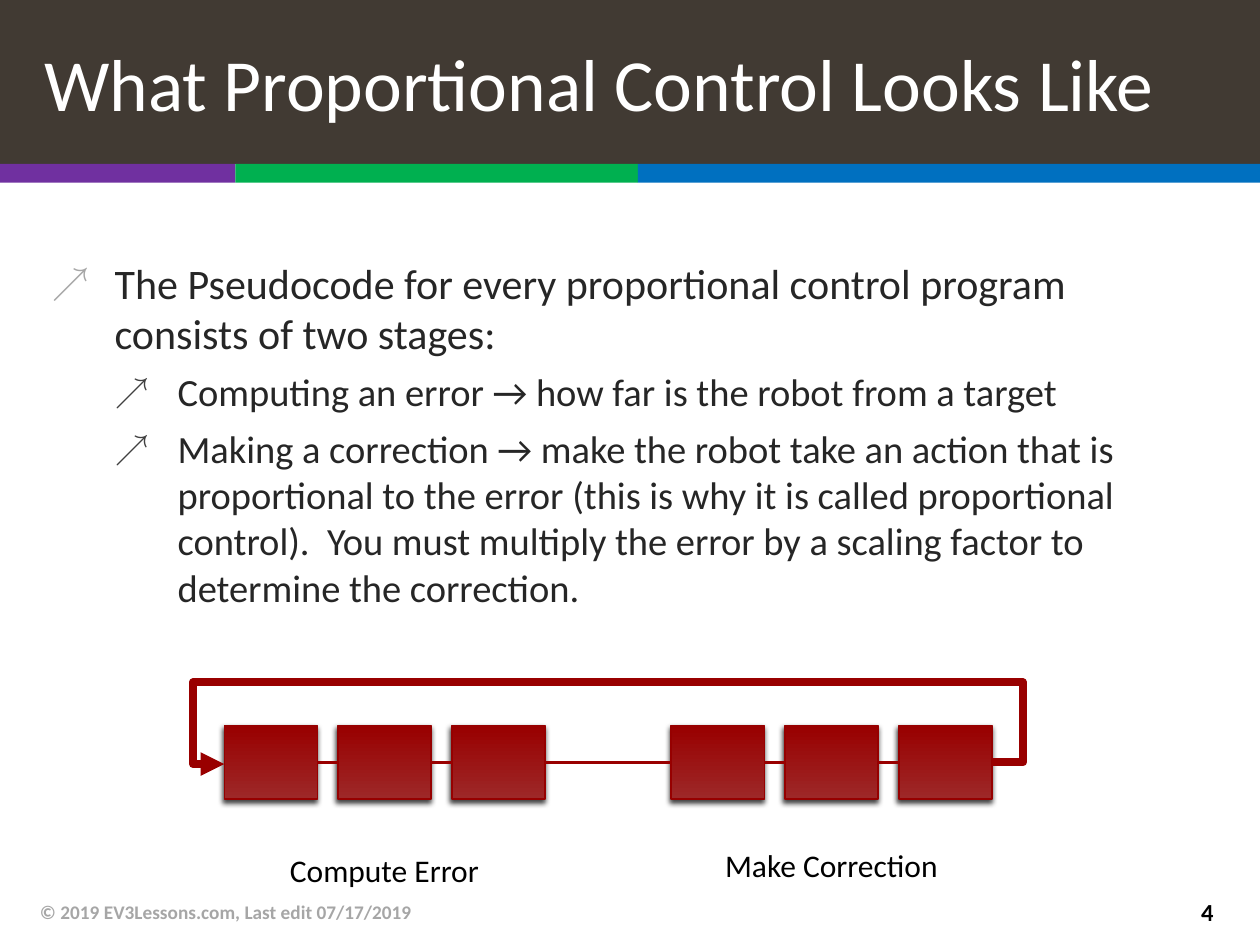
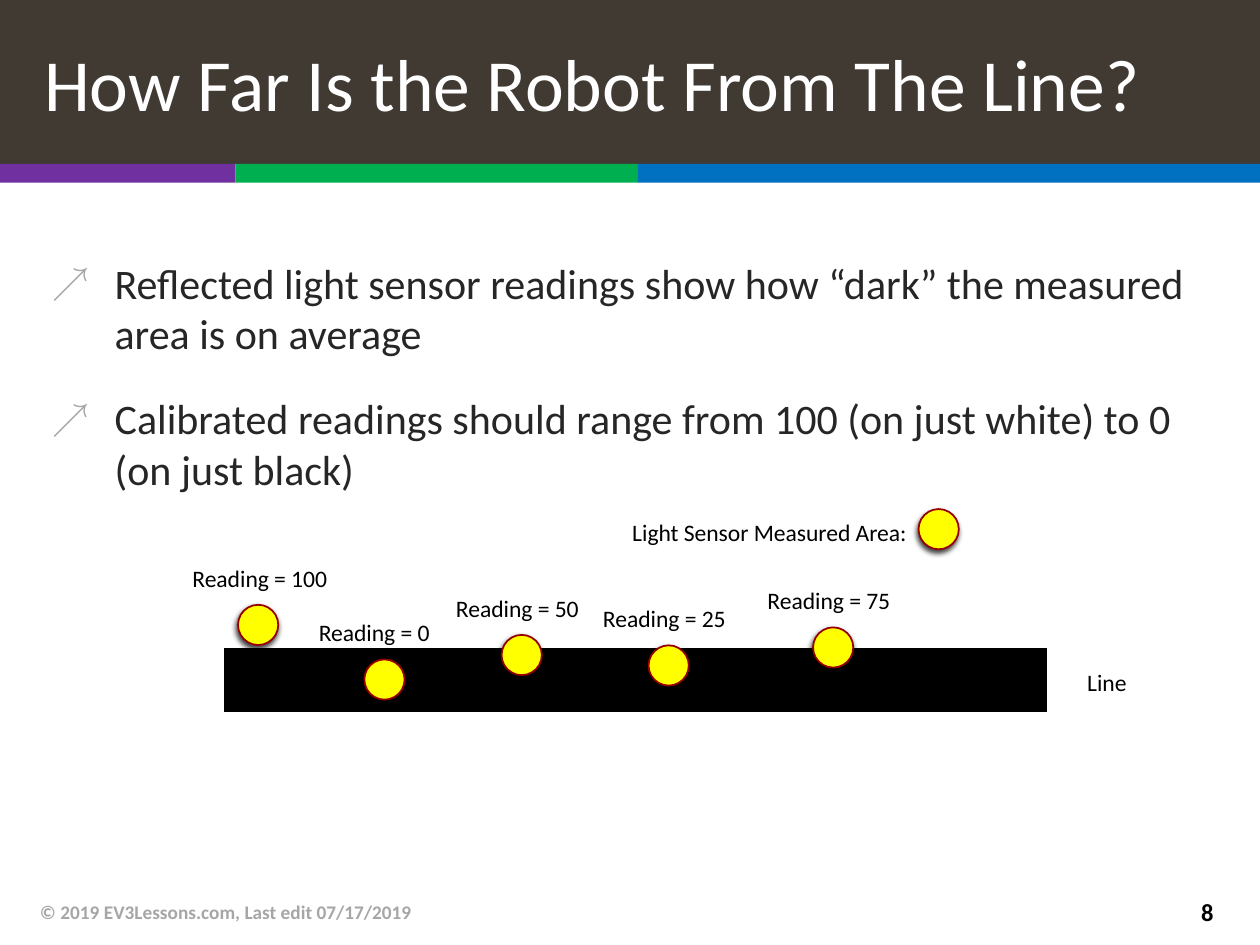
from lxml import etree
from pptx import Presentation
from pptx.dml.color import RGBColor
from pptx.enum.shapes import MSO_CONNECTOR, MSO_SHAPE
from pptx.enum.text import MSO_ANCHOR, MSO_AUTO_SIZE, PP_ALIGN
from pptx.oxml.ns import qn
from pptx.util import Pt

RECTANGLE, ELLIPSE = MSO_SHAPE.RECTANGLE, MSO_SHAPE.OVAL
STRAIGHT, ELBOW = MSO_CONNECTOR.STRAIGHT, MSO_CONNECTOR.ELBOW
LEFT, CENTER, RIGHT = PP_ALIGN.LEFT, PP_ALIGN.CENTER, PP_ALIGN.RIGHT
TOP, MIDDLE = MSO_ANCHOR.TOP, MSO_ANCHOR.MIDDLE

FONT = "Calibri"
BLACK, WHITE, GRAY, INK = "000000", "FFFFFF", "A6A6A6", "262626"
TITLE_FILL, YELLOW = "413A33", "FFFF00"
RED, DARK_RED, LIGHT_RED = "990000", "960000", "9D2828"
BANDS = [("7030A0", 134.5), ("00B050", 230), ("0070C0", 355.5)]
LEVELS = [
    {"size": 24, "margin": 36, "before": 20, "bullet": GRAY},
    {"size": 22, "margin": 72, "before": 6, "bullet": "404040"},
]
TITLE_BOX = (0, 0, 720, 93.6)
BAND_BOX = (0, 93.6, 720, 10.8)
BODY_BOX = (22.3, 143.3, 675.4, 339)
FOOTER_BOX = (15.8, 507, 684.7, 28.5)
FOOTER = "© 2019 EV3Lessons.com, Last edit 07/17/2019"


def color(value):
    """Turn a hex string into a colour."""
    return RGBColor.from_string(value)


def points(*lengths):
    """Turn numbers into point lengths."""
    return [Pt(length) for length in lengths]


def add_child(parent, tag, **attributes):
    """Append a drawing element with the given attributes."""
    child = etree.SubElement(parent, qn(tag))
    for name, value in attributes.items():
        child.set(name, str(value))
    return child


def place(shape, box):
    """Move a shape to a box."""
    shape.left, shape.top, shape.width, shape.height = points(*box)


def write(paragraph, text, size=18, ink=BLACK, bold=False, align=LEFT):
    """Write formatted text into a paragraph."""
    paragraph.alignment = align
    run = paragraph.add_run()
    run.text = text
    run.font.name, run.font.size, run.font.bold = FONT, Pt(size), bold
    run.font.color.rgb = color(ink)


def add_text(slide, box, text, anchor=TOP, **text_format):
    """Add a text box."""
    frame = slide.shapes.add_textbox(*points(*box)).text_frame
    frame.word_wrap, frame.vertical_anchor = True, anchor
    write(frame.paragraphs[0], text, **text_format)


def add_block(slide, kind, box, fill=None, outline=None, shadow=False):
    """Add a preset shape with a plain fill, or a red gradient when no fill is given."""
    shape = slide.shapes.add_shape(kind, *points(*box))
    shape.shadow.inherit = False
    if fill:
        shape.fill.solid()
        shape.fill.fore_color.rgb = color(fill)
    else:
        shape.fill.gradient()
        shape.fill.gradient_angle = 90
        for stop, shade in zip(shape.fill.gradient_stops, (LIGHT_RED, RED)):
            stop.color.rgb = color(shade)
    if outline:
        shape.line.color.rgb = color(outline)
        shape.line.width = Pt(1)
    else:
        shape.line.fill.background()
    if shadow:
        effects = shape._element.spPr.find(qn("a:effectLst"))
        outer = add_child(effects, "a:outerShdw", blurRad=Pt(3), dist=Pt(2),
                          dir=110 * 60000, rotWithShape=0)
        add_child(add_child(outer, "a:srgbClr", val=BLACK), "a:alpha", val=75000)


def add_line(slide, start, end, ink, width, kind=STRAIGHT):
    """Add a connector without a shadow."""
    line = slide.shapes.add_connector(kind, *points(*start, *end))
    line.line.color.rgb = color(ink)
    line.line.width = Pt(width)
    add_child(line._element.spPr, "a:effectLst")
    return line


def add_loop(slide, start, end, reach, rise):
    """Add an arrow that leads back over the blocks from the last to the first."""
    loop = add_line(slide, start, end, RED, 4.5, ELBOW)
    add_child(loop.line._get_or_add_ln(), "a:tailEnd", type="triangle")
    geometry = loop._element.spPr.find(qn("a:prstGeom"))
    geometry.set("prst", "bentConnector5")
    for guide in list(geometry):
        geometry.remove(guide)
    guides = add_child(geometry, "a:avLst")
    side = reach / (start[0] - end[0])
    ratios = (-side, -rise / (end[1] - start[1]), 1 + side)
    for number, ratio in enumerate(ratios, 1):
        add_child(guides, "a:gd", name=f"adj{number}", fmla=f"val {round(ratio * 100000)}")


def add_title(slide, box, text):
    """Fill the title placeholder as a dark banner."""
    title = slide.shapes.title
    place(title, box)
    title.fill.solid()
    title.fill.fore_color.rgb = color(TITLE_FILL)
    frame = title.text_frame
    frame.auto_size, frame.vertical_anchor = MSO_AUTO_SIZE.NONE, MIDDLE
    paragraph = frame.paragraphs[0]
    paragraph._p.get_or_add_pPr().set("marL", str(Pt(18)))
    write(paragraph, text, size=42, ink=WHITE)


def add_bands(slide, box):
    """Add the row of coloured bands."""
    left, top, _, height = box
    for fill, width in BANDS:
        add_block(slide, RECTANGLE, (left, top, width, height), fill)
        left += width


def add_bullets(slide, box, items):
    """Fill the body placeholder with (level, text) items."""
    body = slide.placeholders[1]
    place(body, box)
    frame = body.text_frame
    frame.auto_size = MSO_AUTO_SIZE.NONE
    for index, (level, text) in enumerate(items):
        paragraph = frame.add_paragraph() if index else frame.paragraphs[0]
        style = LEVELS[level]
        paragraph.level = level
        paragraph.space_before = Pt(style["before"] if index else 0)
        properties = paragraph._p.get_or_add_pPr()
        properties.set("marL", str(Pt(style["margin"])))
        properties.set("indent", str(Pt(-36)))
        add_child(add_child(properties, "a:buClr"), "a:srgbClr", val=style["bullet"])
        add_child(properties, "a:buSzPct", val=90000)
        add_child(properties, "a:buChar", char="↗")
        write(paragraph, text, size=style["size"], ink=INK)


def add_footer(slide, box, number):
    """Add the copyright line and the slide number."""
    left, top, width, height = box
    add_text(slide, (left, top, 482, height), FOOTER, anchor=MIDDLE,
             size=11, ink=GRAY, bold=True)
    add_text(slide, (left + width - 50, top, 50, height), str(number), anchor=MIDDLE,
             size=14, bold=True, align=RIGHT)


def add_lesson_slide(presentation, title, items, number):
    """Add a slide with the shared banner, bands, list and footer."""
    slide = presentation.slides.add_slide(presentation.slide_layouts[1])
    add_title(slide, TITLE_BOX, title)
    add_bands(slide, BAND_BOX)
    add_bullets(slide, BODY_BOX, items)
    add_footer(slide, FOOTER_BOX, number)
    return slide


def add_control_loop(slide, box):
    """Draw two groups of three blocks joined in a loop."""
    left, top, width, height = box
    block, pitch, group_pitch = 53.2, 65.1, 255.4
    middle = top + height / 2
    starts = [left + group * group_pitch + step * pitch
              for group in range(2) for step in range(3)]
    for start in starts:
        add_block(slide, RECTANGLE, (start, top, block, height),
                  outline=DARK_RED, shadow=True)
    for start, following in zip(starts, starts[1:]):
        add_line(slide, (start + block, middle), (following, middle), RED, 2)
    add_loop(slide, (left + width, middle), (left, middle + 1), reach=18, rise=46)
    stages = [("Compute Error", 68.4), ("Make Correction", 65.5)]
    for group, (stage, drop) in enumerate(stages):
        label_box = (left + group * group_pitch, top + drop, 183, 29)
        add_text(slide, label_box, stage, align=CENTER)


def add_sensor_spot(slide, left, top):
    """Add one circle for the area that the sensor measures."""
    add_block(slide, ELLIPSE, (left, top, 23, 23), YELLOW, DARK_RED, shadow=True)


def add_sensor_readings(slide, box):
    """Draw the black line with a sensor spot for each reading."""
    left, top, width, height = box
    middle = top + height / 2
    add_line(slide, (left, middle), (left + width, middle), BLACK, height)
    readings = [(100, 7.8, -24.8), (0, 80, 6.4), (50, 158.4, -7.6),
                (25, 242.4, -1.6), (75, 336.4, -11.9)]
    for reading, across, down in readings:
        spot_left, spot_top = left + across, top + down
        add_sensor_spot(slide, spot_left, spot_top)
        add_text(slide, (spot_left - 33.1, spot_top - 27.1, 100, 24),
                 f"Reading = {reading}", size=13.5)
    add_sensor_spot(slide, left + 396.7, top - 79.5)
    add_text(slide, (left + 226, top - 78, 190, 24), "Light Sensor Measured Area:", size=13.5)
    add_text(slide, (left + width + 16, top + 7.6, 50, 24), "Line", size=13.5)


def main():
    """Build both slides and save them."""
    presentation = Presentation()
    presentation.slide_width, presentation.slide_height = points(720, 540)
    control = add_lesson_slide(presentation, "What Proportional Control Looks Like", [
        (0, "The Pseudocode for every proportional control program consists of two stages:"),
        (1, "Computing an error → how far is the robot from a target"),
        (1, "Making a correction → make the robot take an action that is proportional to "
            "the error (this is why it is called proportional control).  You must multiply "
            "the error by a scaling factor to determine the correction."),
    ], 4)
    add_control_loop(control, (128.2, 414.6, 438.5, 42))
    distance = add_lesson_slide(presentation, "How Far Is the Robot From The Line?", [
        (0, "Reflected light sensor readings show how “dark” the measured area is on average"),
        (0, "Calibrated readings should range from 100 (on just white) to 0 (on just black)"),
    ], 8)
    add_sensor_readings(distance, (128.2, 370.4, 470, 36.75))
    presentation.save("out.pptx")


if __name__ == "__main__":
    main()
